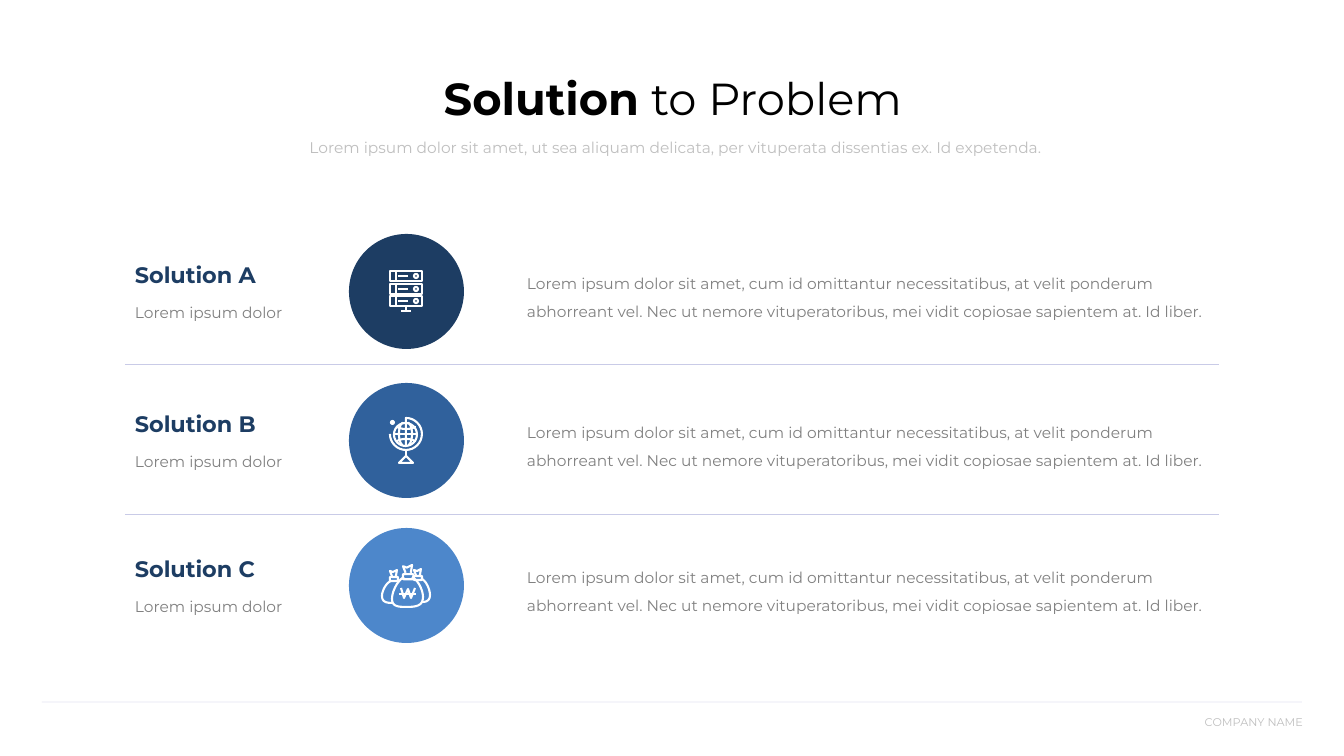
from dataclasses import dataclass
from math import cos, radians, sin

from lxml.etree import SubElement
from pptx import Presentation
from pptx.dml.color import RGBColor
from pptx.enum.shapes import MSO_CONNECTOR as Connector, MSO_SHAPE as Preset
from pptx.enum.text import MSO_AUTO_SIZE as AutoSize, PP_ALIGN as Align
from pptx.oxml.ns import qn
from pptx.util import Pt

PX = 12192000 / 1344


@dataclass(frozen=True)
class Theme:
    font: str = "Montserrat"
    black: str = "000000"
    white: str = "FFFFFF"
    muted: str = "BFBFBF"
    body: str = "808080"
    navy: str = "1D3D63"
    blue: str = "30619C"
    sky: str = "4D87CB"
    rule: str = "C9CBE7"
    title_size: int = 32
    heading_size: int = 16
    body_size: int = 11
    footer_size: int = 8
    rule_width: float = 0.5
    icon_width: float = 1.5


def emu(value):
    return round(value * PX)


def arc(center, radius_x, radius_y, start, end, steps=24):
    angles = [radians(start + (end - start) * step / steps) for step in range(steps + 1)]
    return [(center[0] + radius_x * cos(angle), center[1] + radius_y * sin(angle))
            for angle in angles]


def curve(start, *segments, steps=10):
    points = [start]
    for first, second, end in segments:
        for step in range(1, steps + 1):
            t = step / steps
            weights = ((1 - t) ** 3, 3 * t * (1 - t) ** 2, 3 * t * t * (1 - t), t ** 3)
            corners = (start, first, second, end)
            points.append(tuple(sum(weight * corner[axis] for weight, corner in zip(weights, corners))
                                for axis in (0, 1)))
        start = end
    return points


class Board:
    def __init__(self, slide, theme):
        self.slide = slide
        self.theme = theme
        self.move_to(0, 0)

    def move_to(self, left, top):
        self.left, self.top = left, top

    def place(self, x, y):
        return emu(self.left + x), emu(self.top + y)

    def text(self, content, box, *, lead="", size=None, color=None, align=Align.LEFT, spacing=None):
        x, y, width, height = box
        shape = self.slide.shapes.add_textbox(*self.place(x, y), emu(width), emu(height))
        frame = shape.text_frame
        frame.word_wrap = True
        frame.auto_size = AutoSize.SHAPE_TO_FIT_TEXT
        paragraph = frame.paragraphs[0]
        paragraph.alignment = align
        if spacing:
            paragraph.line_spacing = spacing
        for words, bold in ((lead, True), (content, False)):
            if words:
                run = paragraph.add_run()
                run.text = words
                run.font.name = self.theme.font
                run.font.size = Pt(size or self.theme.body_size)
                run.font.bold = bold
                run.font.color.rgb = RGBColor.from_string(color or self.theme.body)

    def stroke(self, line, color, width):
        line.color.rgb = RGBColor.from_string(color)
        line.width = Pt(width)

    def solid(self, preset, box, color):
        x, y, width, height = box
        shape = self.slide.shapes.add_shape(preset, *self.place(x, y), emu(width), emu(height))
        shape.shadow.inherit = False
        shape.fill.solid()
        shape.fill.fore_color.rgb = RGBColor.from_string(color)
        shape.line.fill.background()
        return shape

    def outline(self, preset, box):
        shape = self.solid(preset, box, self.theme.white)
        shape.fill.background()
        self.stroke(shape.line, self.theme.white, self.theme.icon_width)

    def line(self, start, end, color=None, width=None, opacity=100):
        connector = self.slide.shapes.add_connector(
            Connector.STRAIGHT, *self.place(*start), *self.place(*end))
        self.stroke(connector.line, color or self.theme.white, width or self.theme.icon_width)
        properties = connector.element.spPr
        if opacity < 100:
            tint = next(properties.iter(qn("a:srgbClr")))
            SubElement(tint, qn("a:alpha"), val=str(opacity * 1000))
        SubElement(properties, qn("a:effectLst"))

    def rule(self, left, right, y, opacity=100):
        self.line((left, y), (right, y), self.theme.rule, self.theme.rule_width, opacity)

    def trace(self, points, close=False):
        points = [self.place(*point) for point in points]
        builder = self.slide.shapes.build_freeform(*points[0])
        builder.add_line_segments(points[1:], close=close)
        shape = builder.convert_to_shape()
        shape.shadow.inherit = False
        shape.fill.background()
        self.stroke(shape.line, self.theme.white, self.theme.icon_width)


def draw_server(board):
    for y in (37, 50, 62):
        board.outline(Preset.RECTANGLE, (41, y, 32, 10))
        board.line((47, y), (47, y + 10))
        board.line((49, y + 5), (59, y + 5))
        board.outline(Preset.OVAL, (65, y + 3, 4, 4))
    board.line((57, 72), (57, 77))
    board.line((52, 77), (62, 77))


def draw_globe(board):
    board.outline(Preset.OVAL, (45, 40, 23, 23))
    board.line((45, 51), (68, 51))
    board.trace(arc((54, 51), 4, 11, 90, 270))
    board.trace(arc((59, 51), 4, 11, -90, 90))
    board.trace(arc((57, 43), 9, 3, 0, 180))
    board.trace(arc((57, 59), 9, 3, 180, 360))
    board.trace(arc((57, 51), 16, 16, 180, -90) + [(57, 63)])
    board.line((57, 67), (57, 73))
    board.trace([(57, 73), (64, 80), (50, 80)], close=True)
    board.solid(Preset.OVAL, (41, 37, 5, 5), board.theme.white)


def draw_money_bags(board):
    board.trace(curve((55, 49), ((48, 53), (43, 64), (43, 71)), ((43, 79), (50, 79), (58, 79)),
                      ((67, 79), (74, 78), (74, 69)), ((74, 62), (69, 52), (63, 49))))
    board.trace(curve((73, 51), ((77, 53), (81, 61), (81, 67)), ((81, 73), (77, 74), (73, 74))))
    board.trace(curve((44, 75), ((39, 75), (33, 75), (33, 68)), ((33, 63), (37, 55), (42, 53))))
    ruffle = ((2, 6), (0, 1), (3, 2), (7, 0), (6, 6))
    for x, y, scale in ((41, 42, 1), (54, 37, 1.3), (65, 41, 1)):
        board.trace([(x + scale * dx, y + scale * dy) for dx, dy in ruffle])
        board.outline(Preset.ROUNDED_RECTANGLE, (x, y + 7 * scale, 8 * scale, 4 * scale))
    board.trace([(52, 60), (55, 70), (59, 61), (62, 70), (66, 60)])
    board.line((50, 66), (67, 66))


def main():
    presentation = Presentation()
    presentation.slide_width, presentation.slide_height = emu(1344), emu(756)
    slide = presentation.slides.add_slide(presentation.slide_layouts[6])
    theme = Theme()
    board = Board(slide, theme)

    board.rule(42, 1302, 702, opacity=50)
    board.text("COMPANY NAME", (850, 710, 463, 24), size=theme.footer_size,
               color=theme.muted, align=Align.RIGHT)
    board.text(" to Problem", (74, 66, 1198, 65), lead="Solution", size=theme.title_size,
               color=theme.black, align=Align.CENTER)
    board.text("Lorem ipsum dolor sit amet, ut sea aliquam delicata, per vituperata dissentias ex. "
               "Id expetenda.", (116, 133, 1120, 29), color=theme.muted, align=Align.CENTER)
    for y in (364, 514):
        board.rule(125, 1219, y)

    description = ("Lorem ipsum dolor sit amet, cum id omittantur necessitatibus, at velit ponderum "
                   "abhorreant vel. Nec ut nemore vituperatoribus, mei vidit copiosae sapientem at. "
                   "Id liber.")
    solutions = (("Solution A", 234, theme.navy, draw_server),
                 ("Solution B", 383, theme.blue, draw_globe),
                 ("Solution C", 528, theme.sky, draw_money_bags))
    for name, top, color, draw_icon in solutions:
        board.move_to(349, top)
        board.solid(Preset.OVAL, (0, 0, 115, 115), color)
        draw_icon(board)
        board.move_to(0, top)
        board.text("", (125, 22, 190, 37), lead=name, size=theme.heading_size, color=theme.navy)
        board.text("Lorem ipsum dolor", (125, 64, 190, 29))
        board.text(description, (517, 26, 702, 64), spacing=1.5)

    presentation.save("out.pptx")


if __name__ == "__main__":
    main()
